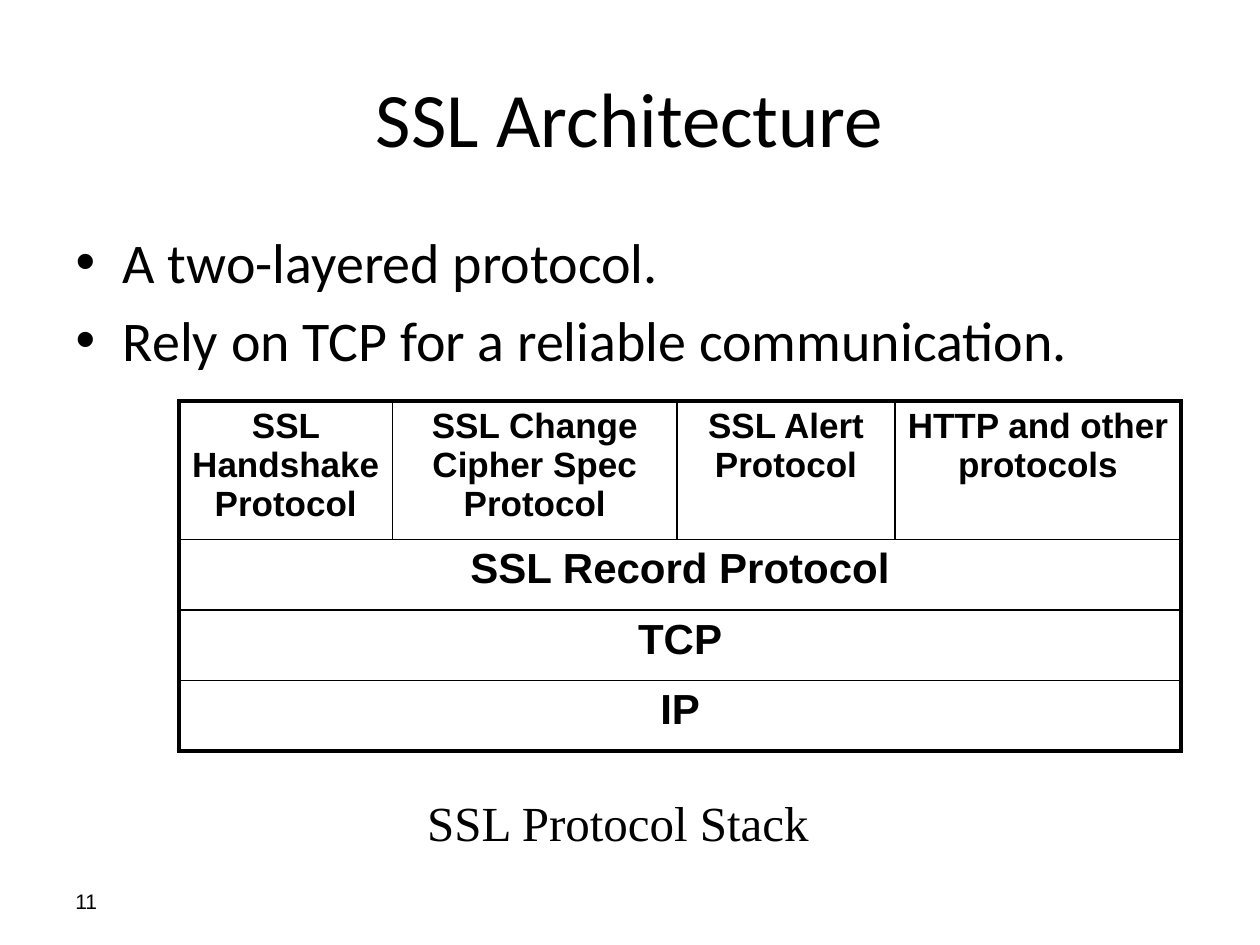
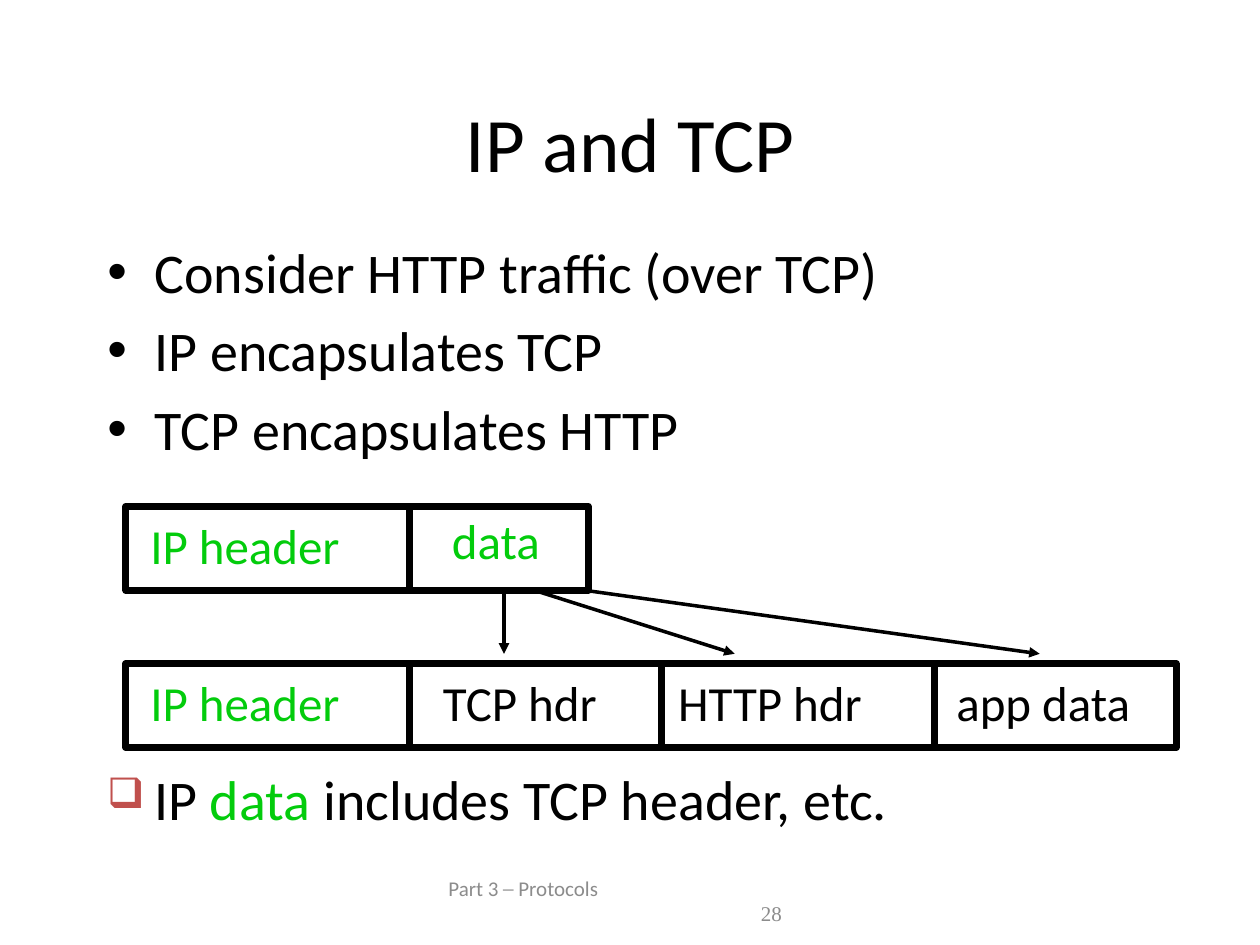
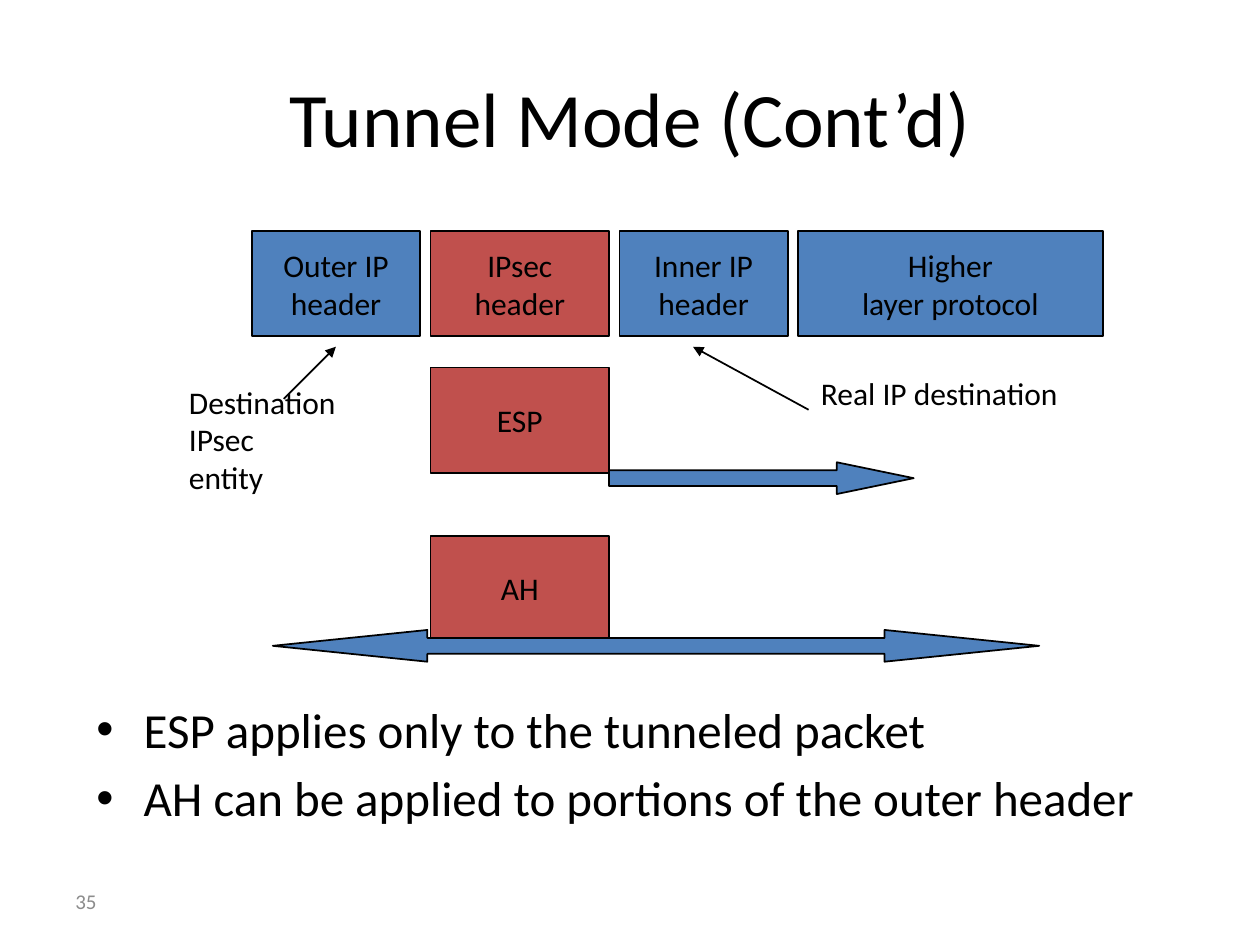
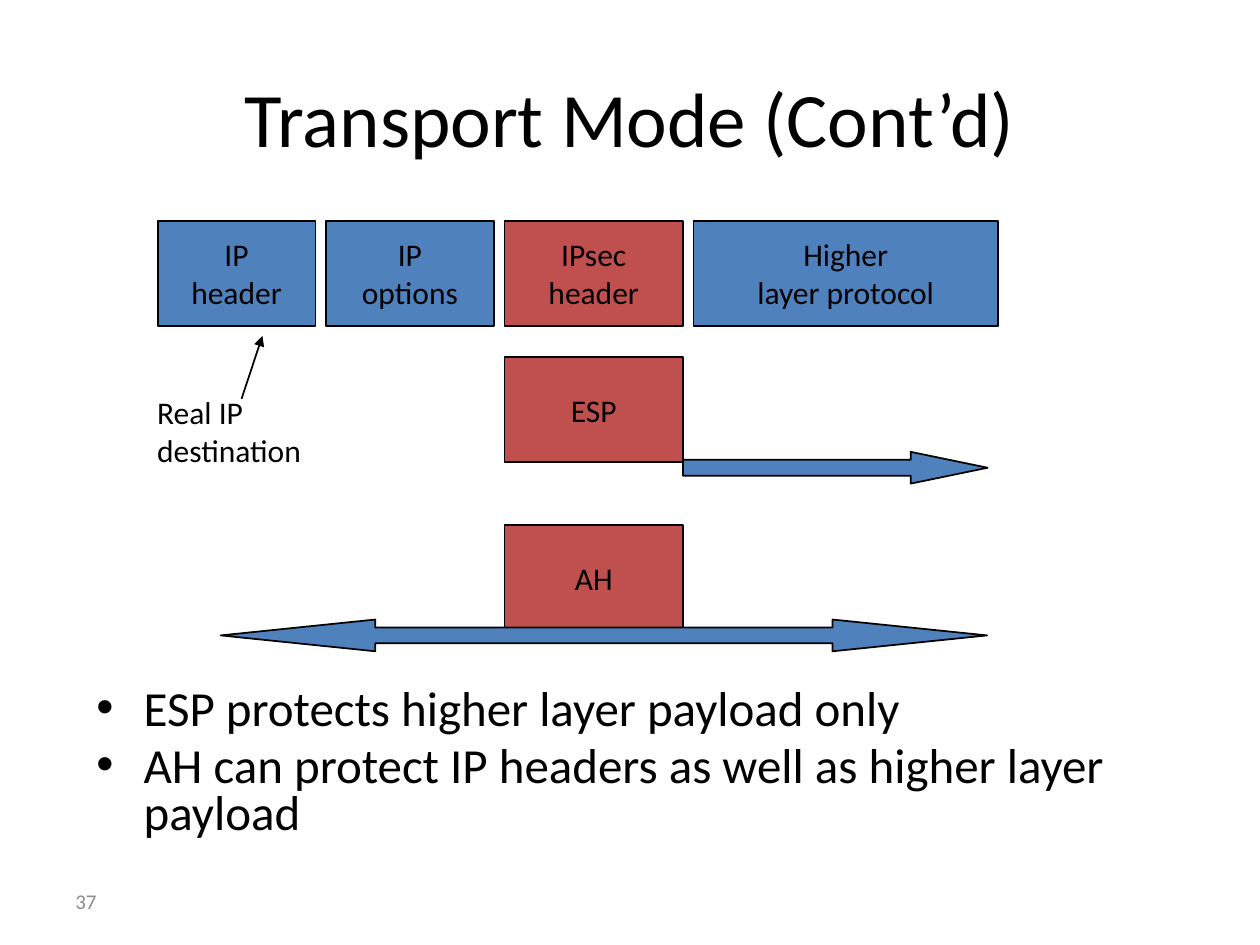
from dataclasses import dataclass
from itertools import product
from typing import NamedTuple

from lxml.etree import SubElement
from pptx import Presentation
from pptx.dml.color import RGBColor
from pptx.enum.shapes import MSO_CONNECTOR, MSO_SHAPE
from pptx.enum.text import MSO_ANCHOR, MSO_AUTO_SIZE, PP_ALIGN
from pptx.oxml.ns import qn
from pptx.util import Cm, Pt

BLACK, GREY, GREEN = "000000", "8C8C8C", "03CC0C"
BLUE, RED = "4F81BD", "C0504D"
SANS, PLAIN, SERIF = "Calibri", "Arial", "Times New Roman"
GAP, TALL = 0.21, 2.12


class Area(NamedTuple):
    left: float
    top: float
    wide: float
    high: float

    def place(self):
        return tuple(Cm(side) for side in self)


class Run(NamedTuple):
    text: str
    size: float = 18
    color: str = BLACK
    font: str = SANS
    bold: bool = False


class Point(NamedTuple):
    x: float
    y: float


class Note(NamedTuple):
    area: Area
    lines: list[str]
    start: Point
    end: Point


class Block(NamedTuple):
    wide: float
    lines: list[str]
    fill: str = BLUE


class Field(NamedTuple):
    text: str
    wide: float
    inset: float
    color: str = BLACK
    drop: float = 0.06


@dataclass(frozen=True)
class Mode:
    title: str
    page: str
    left: float
    top: float
    blocks: list[Block]
    span_left: float
    notes: list[Note]
    body: Area
    points: list[str]
    spacing: float | None = None


TITLE = Area(1.27, 0.76, 22.86, 3.18)
PAGE = Area(1.27, 17.65, 5.93, 1.02)
IPSEC = Block(3.6, ["IPsec", "header"], RED)
HIGHER = Block(6.14, ["Higher", "layer protocol"])

MODES = [
    Mode(
        "Tunnel Mode (Cont’d)", "35", 5.08, 4.66,
        [Block(3.39, ["Outer IP", "header"]), IPSEC,
         Block(3.39, ["Inner IP", "header"]), HIGHER],
        5.5,
        [Note(Area(16.3, 7.41, 8.03, 1.45), ["Real IP destination"],
              Point(16.3, 8.26), Point(13.97, 6.99)),
         Note(Area(3.56, 7.59, 5.05, 3.81), ["Destination", "IPsec", "entity"],
              Point(5.72, 8.04), Point(6.77, 6.99))],
        Area(1.69, 13.97, 22.94, 3.18),
        ["ESP applies only to the tunneled packet",
         "AH can be applied to portions of the outer header"],
    ),
    Mode(
        "Transport Mode (Cont’d)", "37", 3.18, 4.45,
        [Block(3.18, ["IP", "header"]), Block(3.39, ["IP", "options"]),
         IPSEC, HIGHER],
        4.45,
        [Note(Area(2.92, 7.8, 4.83, 2.62), ["Real IP", "destination"],
              Point(4.87, 8.04), Point(5.29, 6.77))],
        Area(1.69, 13.76, 22.94, 3.39),
        ["ESP protects higher layer payload only",
         "AH can protect IP headers as well as higher layer payload"],
        0.8,
    ),
]


def paint(code: str) -> RGBColor:
    return RGBColor.from_string(code)


def write(frame, lines: list[list[Run]], align=None, spacing=None):
    frame.word_wrap = True
    for index, runs in enumerate(lines):
        para = frame.add_paragraph() if index else frame.paragraphs[0]
        para.alignment = align
        if spacing:
            para.line_spacing = spacing
        for item in runs:
            run = para.add_run()
            run.text = item.text
            font = run.font
            font.name, font.size, font.bold = item.font, Pt(item.size), item.bold
            font.color.rgb = paint(item.color)


def add_text(slide, area: Area, lines: list[list[Run]], middle=False, spacing=None):
    box = slide.shapes.add_textbox(*area.place())
    write(box.text_frame, lines, spacing=spacing)
    if middle:
        box.text_frame.vertical_anchor = MSO_ANCHOR.MIDDLE
    return box.text_frame


def add_shape(slide, kind, area: Area, fill=None, weight=1.0):
    shape = slide.shapes.add_shape(kind, *area.place())
    shape.shadow.inherit = False
    if fill:
        shape.fill.solid()
        shape.fill.fore_color.rgb = paint(fill)
    else:
        shape.fill.background()
    shape.line.color.rgb = paint(BLACK)
    shape.line.width = Pt(weight)
    return shape


def add_block(slide, area: Area, lines: list[str], fill: str):
    frame = add_shape(slide, MSO_SHAPE.RECTANGLE, area, fill).text_frame
    frame.vertical_anchor = MSO_ANCHOR.MIDDLE
    write(frame, [[Run(line)] for line in lines], PP_ALIGN.CENTER)


def add_arrow(slide, kind, area: Area, head: float):
    shape = add_shape(slide, kind, area, BLUE)
    shape.adjustments[0] = 0.5
    shape.adjustments[1] = head


def add_line(slide, start: Point, end: Point, weight=1.0, arrow=True):
    line = slide.shapes.add_connector(
        MSO_CONNECTOR.STRAIGHT, *(Cm(value) for value in (*start, *end)))
    line.line.color.rgb = paint(BLACK)
    line.line.width = Pt(weight)
    if arrow:
        SubElement(line.line._get_or_add_ln(), qn("a:tailEnd"), type="triangle")
    SubElement(line._element.spPr, qn("a:effectLst"))


def fill_holder(holder, area: Area, lines: list[list[Run]], align=None, spacing=None):
    holder.left, holder.top, holder.width, holder.height = area.place()
    write(holder.text_frame, lines, align, spacing)
    holder.text_frame.auto_size = MSO_AUTO_SIZE.NONE


def add_slide(deck, title: str, body: Area, points: list[str], size: int,
              head: Area = TITLE, spacing=None):
    slide = deck.slides.add_slide(deck.slide_layouts[1])
    fill_holder(slide.shapes.title, head, [[Run(title, 44)]], PP_ALIGN.CENTER)
    fill_holder(slide.placeholders[1], body,
                [[Run(point, size)] for point in points], spacing=spacing)
    return slide


def add_page(slide, text: str, color=GREY, font=SANS):
    add_text(slide, PAGE, [[Run(text, 12, color, font)]], middle=True)


def set_edge(cell, side: str, thick: bool):
    props = cell._tc.get_or_add_tcPr()
    edge = SubElement(props, qn(f"a:ln{side}"), w=str(Pt(2.25 if thick else 1)))
    fill = SubElement(edge, qn("a:solidFill"))
    SubElement(fill, qn("a:srgbClr"), val=BLACK)


def add_stack(slide):
    tops = ["SSL Handshake Protocol", "SSL Change Cipher Spec Protocol",
            "SSL Alert Protocol", "HTTP and other protocols"]
    layers = ["SSL Record Protocol", "TCP", "IP"]
    widths, heights = [4.3, 5.74, 4.39, 5.77], [2.8, 1.42, 1.42, 1.42]
    rows, cols = len(heights), len(widths)
    area = Area(3.61, 8.08, sum(widths), sum(heights))
    table = slide.shapes.add_table(rows, cols, *area.place()).table
    table.first_row = table.horz_banding = False
    for col, wide in zip(table.columns, widths):
        col.width = Cm(wide)
    for row, high in zip(table.rows, heights):
        row.height = Cm(high)
    for row, col in product(range(rows), range(cols)):
        cell = table.cell(row, col)
        merged = row > 0
        set_edge(cell, "L", merged or col == 0)
        set_edge(cell, "R", merged or col == cols - 1)
        set_edge(cell, "T", row == 0)
        set_edge(cell, "B", row == rows - 1)
        cell.fill.background()
    for col, text in enumerate(tops):
        write(table.cell(0, col).text_frame,
              [[Run(text, 20, font=PLAIN, bold=True)]], PP_ALIGN.CENTER)
    for row, text in enumerate(layers, 1):
        table.cell(row, 0).merge(table.cell(row, cols - 1))
        write(table.cell(row, 0).text_frame,
              [[Run(text, 24, font=PLAIN, bold=True)]], PP_ALIGN.CENTER)


def draw_stack(deck):
    slide = add_slide(
        deck, "SSL Architecture", Area(1.27, 4.45, 22.86, 12.57),
        ["A two-layered protocol.", "Rely on TCP for a reliable communication."], 32)
    add_page(slide, "11", BLACK, PLAIN)
    add_stack(slide)
    add_text(slide, Area(8.36, 15.85, 8.26, 1.45),
             [[Run("SSL Protocol Stack", 28, font=SERIF)]])


def add_packet(slide, top: float, fields: list[Field]):
    left, high = 2.54, 1.69
    wide = sum(field.wide for field in fields)
    add_shape(slide, MSO_SHAPE.RECTANGLE, Area(left, top, wide, high), weight=4)
    for index, field in enumerate(fields):
        if index:
            add_line(slide, Point(left, top), Point(left, top + high), 4, arrow=False)
        add_text(slide, Area(left + field.inset, top + field.drop, field.wide, 1.63),
                 [[Run(field.text, 28, field.color)]])
        left += field.wide


def add_mark(para, sign: str, color: str, percent: int):
    props = para._p.get_or_add_pPr()
    props.set("marL", str(Cm(0.95)))
    props.set("indent", str(-Cm(0.95)))
    SubElement(SubElement(props, qn("a:buClr")), qn("a:srgbClr"), val=color)
    SubElement(props, qn("a:buSzPct"), val=str(percent * 1000))
    SubElement(props, qn("a:buChar"), char=sign)


def draw_packets(deck):
    slide = add_slide(
        deck, "IP and TCP", Area(1.91, 4.66, 21.38, 5.29),
        ["Consider HTTP traffic (over TCP)", "IP encapsulates TCP",
         "TCP encapsulates HTTP"], 32, Area(1.91, 1.27, 21.59, 3.18))
    header = Field("IP header", 5.72, 0.24, GREEN)
    add_packet(slide, 10.21, [header, Field("data", 3.6, 0.6, GREEN, -0.05)])
    add_packet(slide, 13.38, [header, Field("TCP hdr", 5.08, 0.42),
                              Field("HTTP hdr", 5.5, 0.08),
                              Field("app data", 4.87, 0.19)])
    for start, end in [(10.16, 10.16), (10.8, 14.81), (11.86, 20.96)]:
        add_line(slide, Point(start, 11.91), Point(end, 13.18), 2)
    frame = add_text(
        slide, Area(1.91, 15.44, 21.17, 1.91),
        [[Run("IP ", 32), Run("data", 32, GREEN),
          Run(" includes TCP header, etc.", 32)]], spacing=0.9)
    frame.paragraphs[0].space_before = Pt(6.4)
    add_mark(frame.paragraphs[0], "❑", RED, 75)
    foot = add_text(slide, Area(8.69, 17.65, 8.05, 1.02),
                    [[Run("Part 3 ─ Protocols", 12, GREY)],
                     [Run("28", 12, GREY, SERIF)]], middle=True)
    for para, inset in zip(foot.paragraphs, (0.1, 6.4)):
        para._p.get_or_add_pPr().set("marL", str(Cm(inset)))


def draw_mode(deck, mode: Mode):
    slide = add_slide(deck, mode.title, mode.body, mode.points, 28,
                      spacing=mode.spacing)
    add_page(slide, mode.page)
    left = core = mode.left
    for block in mode.blocks:
        add_block(slide, Area(left, mode.top, block.wide, TALL),
                  block.lines, block.fill)
        if block is IPSEC:
            core = left
        left += block.wide + GAP
    for text, drop in [("ESP", 2.75), ("AH", 6.14)]:
        add_block(slide, Area(core, mode.top + drop, IPSEC.wide, TALL), [text], RED)
    add_arrow(slide, MSO_SHAPE.RIGHT_ARROW,
              Area(core + IPSEC.wide, mode.top + 4.66, 6.14, 0.64), 2.42)
    add_arrow(slide, MSO_SHAPE.LEFT_RIGHT_ARROW,
              Area(mode.span_left, mode.top + 8.04, 15.45, 0.64), 4.87)
    for note in mode.notes:
        add_line(slide, note.start, note.end)
        add_text(slide, note.area, [[Run(line)] for line in note.lines])


def main():
    deck = Presentation()
    deck.slide_width, deck.slide_height = Cm(25.4), Cm(19.05)
    draw_stack(deck)
    draw_packets(deck)
    for mode in MODES:
        draw_mode(deck, mode)
    deck.save("out.pptx")


if __name__ == "__main__":
    main()
